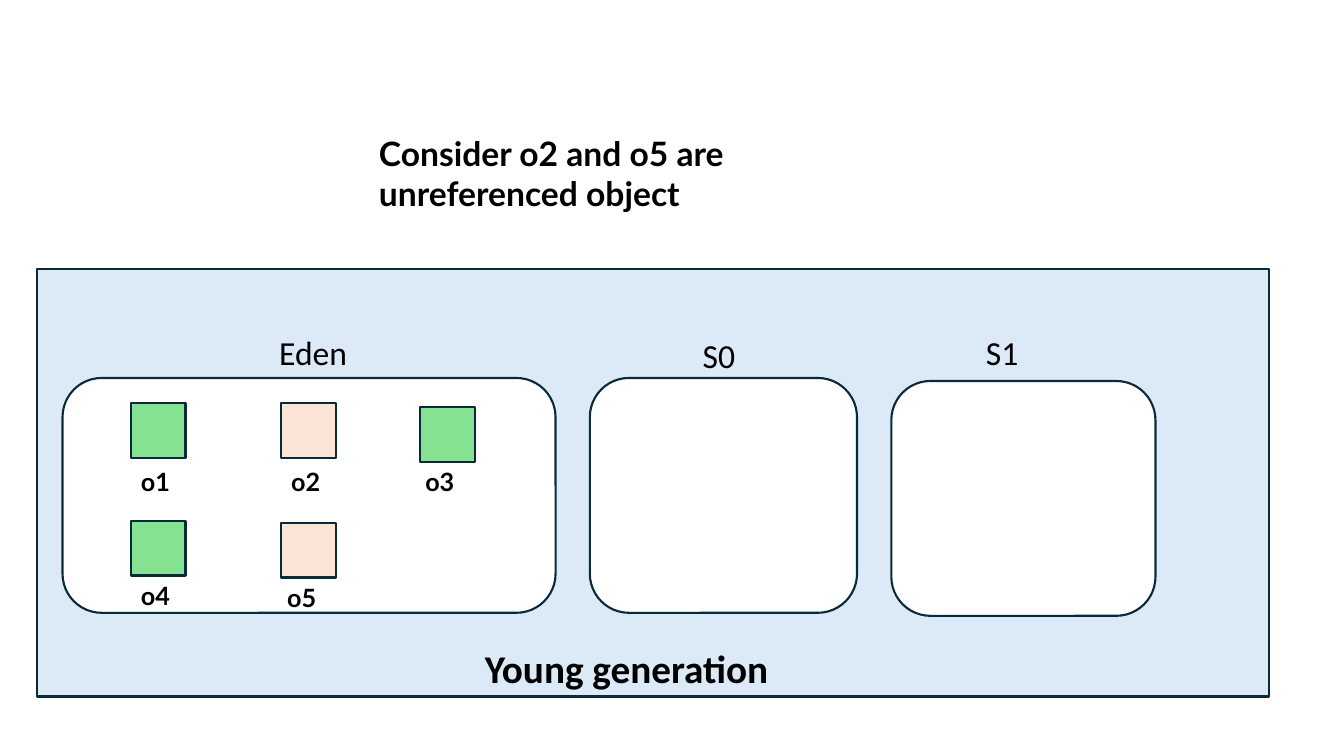
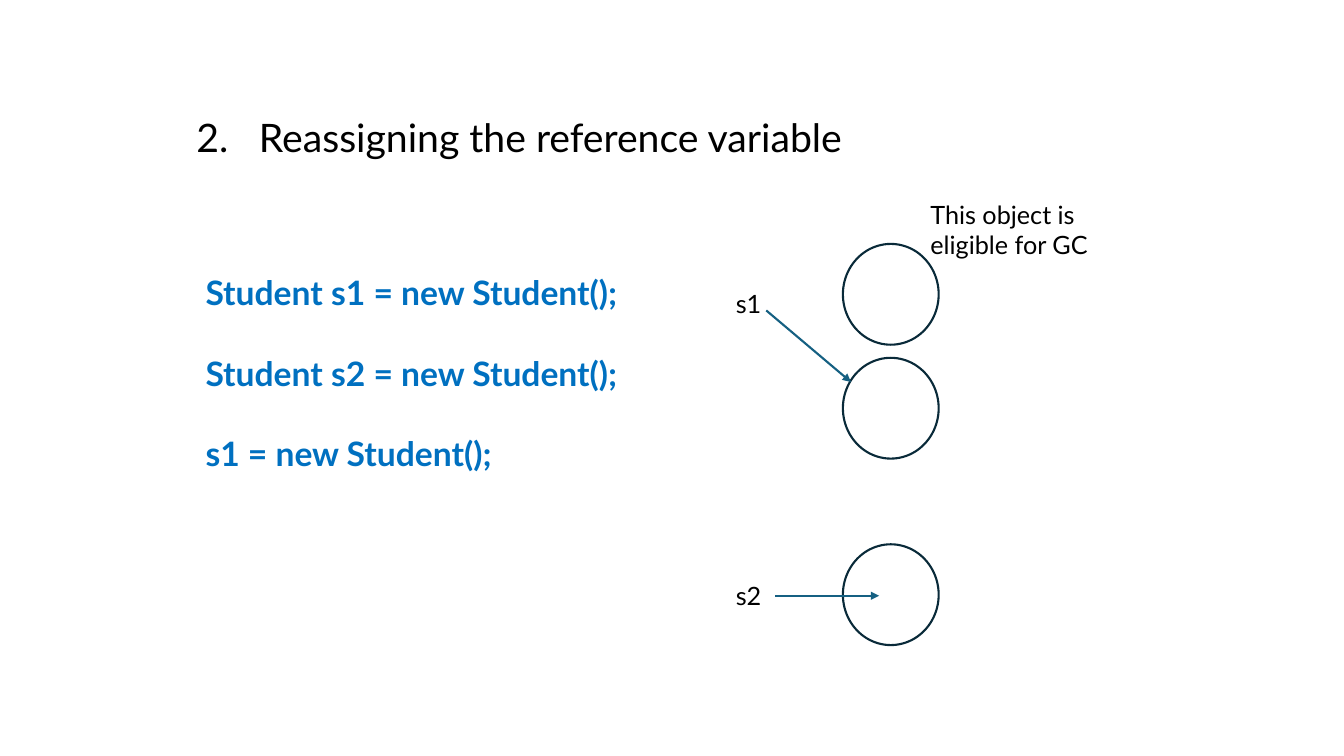
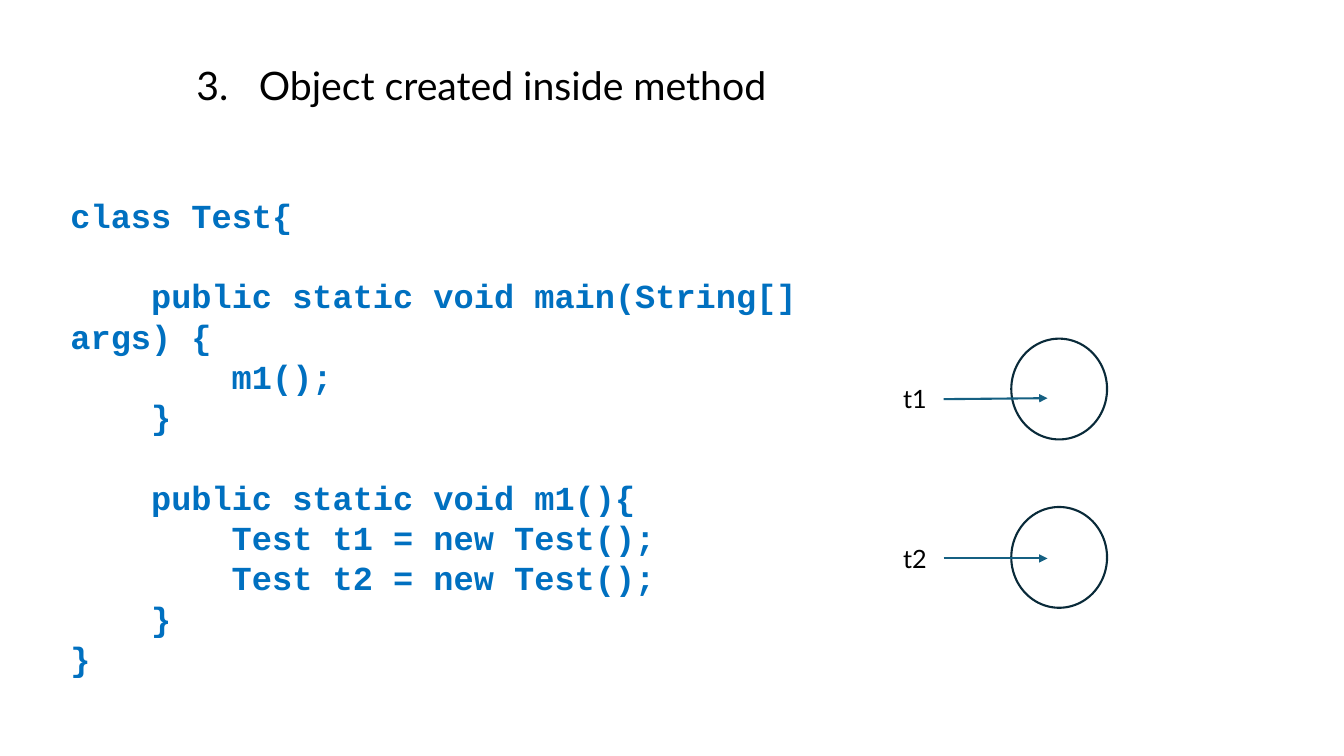
from dataclasses import dataclass

from lxml import etree
from pptx import Presentation
from pptx.dml.color import RGBColor
from pptx.enum.shapes import MSO_CONNECTOR, MSO_SHAPE
from pptx.oxml.ns import qn
from pptx.util import Inches, Pt

RECTANGLE = MSO_SHAPE.RECTANGLE
ROUNDED = MSO_SHAPE.ROUNDED_RECTANGLE
OVAL = MSO_SHAPE.OVAL
STRAIGHT = MSO_CONNECTOR.STRAIGHT


@dataclass(frozen=True)
class Theme:
    ink: str = "000000"
    code: str = "0070C0"
    outline: str = "092A39"
    arrow: str = "156082"
    panel: str = "DCEAF7"
    white: str = "FFFFFF"
    live: str = "84E291"
    unreferenced: str = "FBE3D6"
    font: str = "Lato"
    diagram_font: str = "Calibri"
    code_font: str = "Courier New"
    heading: int = 28
    body: int = 24
    label: int = 18
    code_line: float = 28.8
    line: float = 1.5


THEME = Theme()

# Content: memory areas as (name, box, label left, label top)
MEMORY_AREAS = [
    ("Eden", (0.62, 3.75, 4.89, 2.33), 2.67, 3.24),
    ("S0", (5.85, 3.75, 2.65, 2.33), 6.87, 3.27),
    ("S1", (8.84, 3.78, 2.62, 2.33), 9.68, 3.24),
]
# Objects as (name, left, top, label left, label top, colour)
HEAP_OBJECTS = [
    ("o1", 1.3, 4, 1.3, 4.58, THEME.live),
    ("o2", 2.79, 4, 2.79, 4.58, THEME.unreferenced),
    ("o3", 4.17, 4.04, 4.12, 4.58, THEME.live),
    ("o4", 1.3, 5.17, 1.3, 5.71, THEME.live),
    ("o5", 2.79, 5.19, 2.75, 5.73, THEME.unreferenced),
]
# Code as (indent level, blank lines before, text)
REASSIGN_CODE = [
    (0, 0, "Student s1 = new Student();"),
    (0, 1, "Student s2 = new Student();"),
    (0, 1, "s1 = new Student();"),
]
METHOD_CODE = [
    (0, 0, "class Test{"),
    (1, 1, "public static void main(String[] args) {"),
    (2, 0, "m1();"),
    (1, 0, "}"),
    (1, 1, "public static void m1(){"),
    (2, 0, "Test t1 = new Test();"),
    (2, 0, "Test t2 = new Test();"),
    (1, 0, "}"),
    (0, 0, "}"),
]
# References as (name, label top, arrow start, arrow end)
REASSIGN_REFERENCES = [
    ("s1", 2.81, (7.6, 3.08), (8.44, 3.79)),
    ("s2", 5.71, (7.69, 5.91), (8.72, 5.91)),
]
METHOD_REFERENCES = [
    ("t1", 3.75, (9.36, 3.96), (10.39, 3.95)),
    ("t2", 5.34, (9.36, 5.54), (10.39, 5.54)),
]


# Building blocks
def add_text(slide, text, box, size=THEME.label, font=THEME.font,
             color=THEME.ink, bold=False):
    """Add a text box; a list of strings gives one paragraph each."""
    frame = slide.shapes.add_textbox(*map(Inches, box)).text_frame
    frame.word_wrap = True
    lines = [text] if isinstance(text, str) else text
    for index, line in enumerate(lines):
        paragraph = frame.add_paragraph() if index else frame.paragraphs[0]
        run = paragraph.add_run()
        run.text = line
        run.font.name = font
        run.font.size = Pt(size)
        run.font.bold = bold
        run.font.color.rgb = RGBColor.from_string(color)
    return frame.paragraphs


def add_box(slide, kind, box, fill=THEME.white):
    shape = slide.shapes.add_shape(kind, *map(Inches, box))
    shape.shadow.inherit = False
    shape.fill.solid()
    shape.fill.fore_color.rgb = RGBColor.from_string(fill)
    shape.line.color.rgb = RGBColor.from_string(THEME.outline)
    shape.line.width = Pt(THEME.line)


def add_arrow(slide, start, end):
    arrow = slide.shapes.add_connector(STRAIGHT, *map(Inches, start + end))
    arrow.line.color.rgb = RGBColor.from_string(THEME.arrow)
    arrow.line.width = Pt(THEME.line)
    etree.SubElement(arrow.line._get_or_add_ln(), qn("a:tailEnd"), type="triangle")
    etree.SubElement(arrow._element.spPr, qn("a:effectLst"))


def add_heading(slide, number, text, top):
    paragraph = add_text(slide, text, (1.85, top, 7.27, 0.64), size=THEME.heading)[0]
    paragraph.line_spacing = 0.9
    properties = paragraph._p.get_or_add_pPr()
    properties.set("marL", str(Inches(0.62)))
    properties.set("indent", str(Inches(-0.62)))
    etree.SubElement(properties, qn("a:buFont"), typeface=THEME.font)
    etree.SubElement(properties, qn("a:buAutoNum"), type="arabicPeriod",
                     startAt=str(number))


def add_code(slide, code, box, font):
    paragraphs = add_text(slide, [text for _, _, text in code], box,
                          size=THEME.body, font=font, color=THEME.code, bold=True)
    for paragraph, (level, blank_lines, _) in zip(paragraphs, code):
        paragraph.line_spacing = Pt(THEME.code_line)
        paragraph.space_before = Pt(THEME.code_line * blank_lines)
        properties = paragraph._p.get_or_add_pPr()
        properties.set("marL", "0")
        properties.set("indent", str(Inches(0.8 * level)))


def add_references(slide, references, label_left, circle_left, circle_tops):
    for top in circle_tops:
        add_box(slide, OVAL, (circle_left, top, 0.95, 1))
    for name, top, start, end in references:
        add_text(slide, name, (label_left, top, 0.48, 0.4))
        add_arrow(slide, start, end)


# Slides
def build_young_generation(slide):
    add_text(slide, "Consider o2 and o5 are unreferenced object",
             (3.66, 1.27, 5.67, 1.21), size=THEME.body, bold=True)
    add_box(slide, RECTANGLE, (0.37, 2.67, 12.22, 4.24), fill=THEME.panel)
    for name, box, left, top in MEMORY_AREAS:
        add_box(slide, ROUNDED, box)
        add_text(slide, name, (left, top, 1.35, 0.5), size=THEME.body,
                 font=THEME.diagram_font)
    for name, left, top, label_left, label_top, color in HEAP_OBJECTS:
        add_box(slide, RECTANGLE, (left, top, 0.54, 0.54), fill=color)
        add_text(slide, name, (label_left, label_top, 0.64, 0.4), bold=True)
    add_text(slide, "Young generation", (4.71, 6.34, 3.39, 0.57),
             size=THEME.heading, font=THEME.diagram_font, bold=True)


def build_reassigning(slide):
    add_heading(slide, 2, "Reassigning the reference variable", 1.13)
    add_code(slide, REASSIGN_CODE, (1.94, 2.65, 4.47, 2.12), THEME.font)
    add_references(slide, REASSIGN_REFERENCES, 7.2, 8.36, (2.42, 3.55, 5.4))
    add_text(slide, "This object is eligible for GC", (9.13, 1.93, 2.1, 0.71))


def build_inside_method(slide):
    add_heading(slide, 3, "Object created inside method", 0.61)
    add_code(slide, METHOD_CODE, (0.6, 1.88, 8.52, 4.95), THEME.code_font)
    add_references(slide, METHOD_REFERENCES, 8.86, 10.03, (3.36, 5.03))


def main():
    presentation = Presentation()
    presentation.slide_width = Inches(13.33)
    presentation.slide_height = Inches(7.5)
    blank = presentation.slide_layouts[6]
    for build in (build_young_generation, build_reassigning, build_inside_method):
        build(presentation.slides.add_slide(blank))
    presentation.save("out.pptx")


if __name__ == "__main__":
    main()
